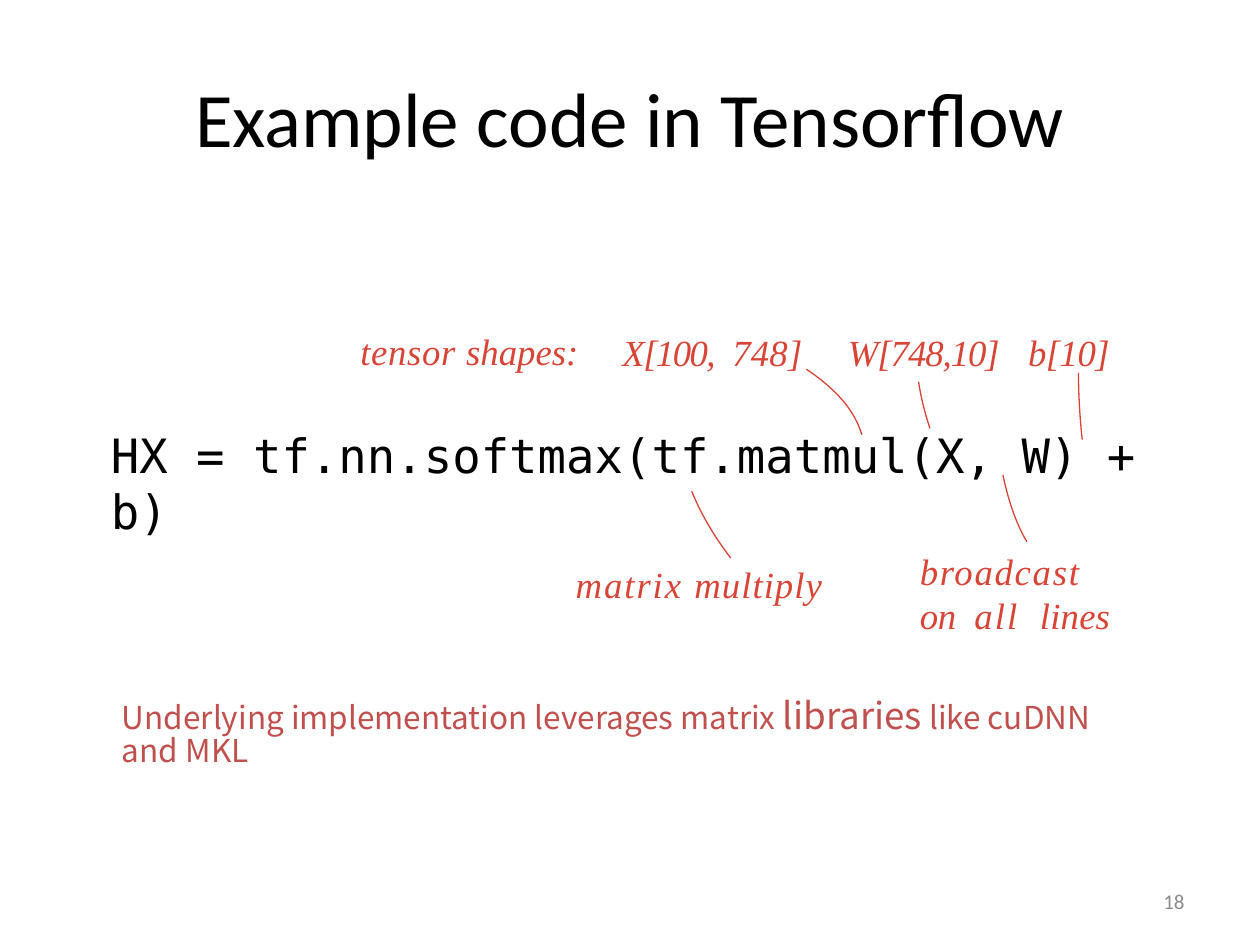
"""Build a slide that explains one line of Tensorflow code."""
from pptx import Presentation
from pptx import util as u
from pptx.dml.color import RGBColor
from pptx.enum import text as t

THEME = {
    "title": ("Calibri", 44, "000000", False),
    "code": ("DejaVu Sans Mono", 27, "000000", False),
    "note": ("Times New Roman", 21, "D84436", True),
    "foot": ("Noto Sans CJK SC", 18, "C0504D", False),
    "large": ("Noto Sans CJK SC", 21, "C0504D", False),
    "page": ("Calibri", 12, "8C8C8C", False),
}
LINE = 0.75
STEPS = 12

TITLE = "Example code in Tensorflow"
CODE = "HX = tf.nn.softmax(tf.matmul(X, W) + b)"
NOTES = [
    ((2.85, 2.61, 1.93, 0.35), [("tensor ", 0.4), ("shapes:", 0)]),
    ((4.93, 2.62, 1.49, 0.35), [("X[100,", -0.9), (" ", 4.4), ("748]", 0.1)]),
    ((6.72, 2.62, 1.24, 0.35), [("W[748,10]", -0.6)]),
    ((8.15, 2.62, 0.69, 0.35), [("b[10]", -0.3)]),
    ((4.56, 4.46, 2.23, 0.35), [("matrix ", 1.1), ("multiply", 0.6)]),
    ((7.29, 4.35, 1.63, 0.71),
     [("broadcast", 1), None, ("on", -0.1), (" ", 5.1), ("all", 1.2),
      (" ", 6.5), ("lines", 0.1)]),
]
FOOT = [("Underlying implementation leverages matrix ", "foot"),
        ("libraries", "large"), (" like cuDNN and MKL", "foot")]
PAGE = "18"
CURVES = [
    ((6.4, 2.93), (6.76, 3.17), (6.84, 3.45)),
    ((7.29, 3.03), (7.32, 3.22), (7.38, 3.4)),
    ((8.56, 2.96), (8.56, 3.21), (8.59, 3.49)),
    ((5.49, 3.9), (5.6, 4.17), (5.8, 4.43)),
    ((7.96, 3.77), (8.03, 4.1), (8.15, 4.3)),
]


def place(shape, spot):
    shape.left, shape.top, shape.width, shape.height = map(u.Inches, spot)


def add_run(para, words, style, gap=0):
    face, size, color, slant = THEME[style]
    run = para.add_run()
    run.text = words
    font = run.font
    font.name, font.size, font.italic = face, u.Pt(size), slant
    font.color.rgb = RGBColor.from_string(color)
    if gap:
        run._r.get_or_add_rPr().set("spc", str(round(gap * 100)))


def add_box(slide, spot, wrap=True, inset=True):
    frame = slide.shapes.add_textbox(*map(u.Inches, spot)).text_frame
    frame.word_wrap = wrap
    if not inset:
        frame.margin_left = u.Inches(0.01)
        frame.margin_top = frame.margin_right = frame.margin_bottom = 0
    return frame


def add_note(slide, spot, parts):
    para = add_box(slide, spot, wrap=False, inset=False).paragraphs[0]
    for part in parts:
        if part is None:
            para.add_line_break()
            para.line_spacing = 1.01
        else:
            words, gap = part
            add_run(para, words, "note", gap)


def add_curve(slide, start, bend, end):
    def point(step):
        k = step / STEPS
        return tuple(u.Inches((1 - k) ** 2 * a + 2 * k * (1 - k) * b + k * k * c)
                     for a, b, c in zip(start, bend, end))

    pen = slide.shapes.build_freeform(*point(0))
    pen.add_line_segments([point(i) for i in range(1, STEPS + 1)], close=False)
    curve = pen.convert_to_shape()
    curve.shadow.inherit = False
    curve.fill.background()
    curve.line.color.rgb = RGBColor.from_string(THEME["note"][2])
    curve.line.width = u.Pt(LINE)


def main():
    deck = Presentation()
    deck.slide_width, deck.slide_height = u.Inches(10), u.Inches(7.5)
    slide = deck.slides.add_slide(deck.slide_layouts[5])

    title = slide.shapes.title
    place(title, (0.5, 0.3, 9, 1.25))
    title.text_frame.vertical_anchor = t.MSO_ANCHOR.MIDDLE
    head = title.text_frame.paragraphs[0]
    head.alignment = t.PP_ALIGN.CENTER
    add_run(head, TITLE, "title")

    code = add_box(slide, (0.87, 3.38, 8.44, 0.45), inset=False)
    add_run(code.paragraphs[0], CODE, "code")

    for spot, parts in NOTES:
        add_note(slide, spot, parts)
    for curve in CURVES:
        add_curve(slide, *curve)

    foot = add_box(slide, (0.87, 5.5, 8.17, 0.45)).paragraphs[0]
    foot.line_spacing = 0.85
    for words, style in FOOT:
        add_run(foot, words, style)

    page = add_box(slide, (7.17, 6.95, 2.33, 0.4))
    page.vertical_anchor = t.MSO_ANCHOR.MIDDLE
    page.paragraphs[0].alignment = t.PP_ALIGN.RIGHT
    add_run(page.paragraphs[0], PAGE, "page")

    deck.save("out.pptx")


if __name__ == "__main__":
    main()
